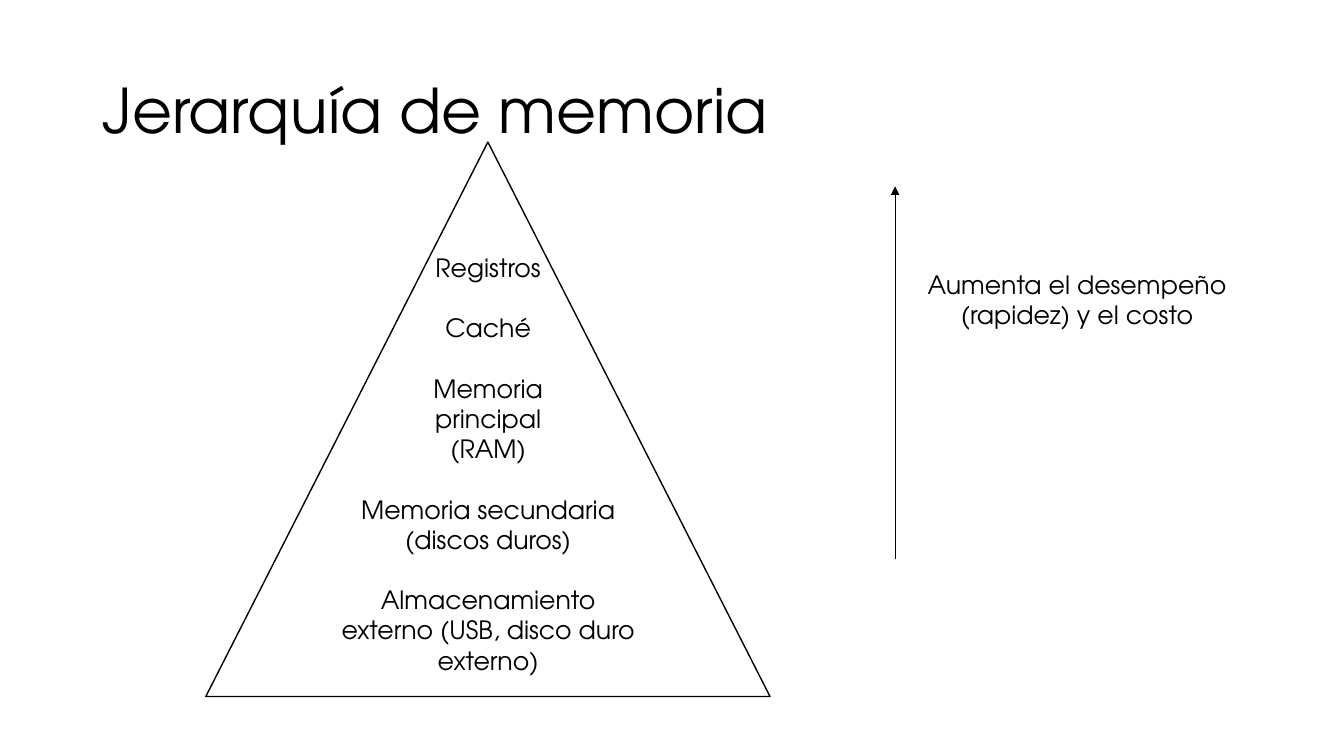
from pptx import Presentation
from pptx.dml.color import RGBColor
from pptx.enum.shapes import MSO_CONNECTOR, MSO_SHAPE
from pptx.enum.text import MSO_ANCHOR, MSO_AUTO_SIZE, PP_ALIGN
from pptx.oxml.ns import qn
from pptx.util import Pt
from lxml.etree import SubElement

TITLE = "Jerarquía de memoria"
NARROW, WIDE = 93.6, 235.4
# text, box width, number of lines
LEVELS = [
    ("Registros", NARROW, 1),
    ("Caché", NARROW, 1),
    ("Memoria principal (RAM)", NARROW, 3),
    ("Memoria secundaria (discos duros)", WIDE, 2),
    ("Almacenamiento externo (USB, disco duro externo)", WIDE, 3),
]
ARROW_LABEL = "Aumenta el desempeño (rapidez) y el costo"

FONT = "TeX Gyre Adventor"
COLORS = {"ink": "000000", "paper": "FFFFFF"}
LINE_HEIGHT, VERTICAL_INSETS = 21.6, 7.2
PYRAMID = (147, 101.5, 403, 396)
PYRAMID_CENTER = 348.7
FIRST_LEVEL_TOP = 176.4
ARROW_X, ARROW_BOTTOM, ARROW_TOP = 639.4, 399.6, 133.2


def color(name):
    return RGBColor.from_string(COLORS[name])


def format_text(frame, size, align):
    for para in frame.paragraphs:
        para.alignment = align
        for span in para.runs:
            span.font.size = Pt(size)
            span.font.name = FONT
            span.font.color.rgb = color("ink")


def add_label(shapes, text, left, top, width, lines):
    height = lines * LINE_HEIGHT + VERTICAL_INSETS
    box = shapes.add_textbox(Pt(left), Pt(top), Pt(width), Pt(height))
    frame = box.text_frame
    frame.word_wrap = True
    frame.auto_size = MSO_AUTO_SIZE.SHAPE_TO_FIT_TEXT
    frame.text = text
    format_text(frame, 18, PP_ALIGN.CENTER)


def add_title(slide):
    title = slide.shapes.title
    title.left, title.top, title.width, title.height = map(Pt, (66, 28.8, 828, 104.4))
    frame = title.text_frame
    frame.text = TITLE
    frame.word_wrap = True
    frame.auto_size = MSO_AUTO_SIZE.NONE
    frame.vertical_anchor = MSO_ANCHOR.MIDDLE
    frame.paragraphs[0].line_spacing = 0.9
    format_text(frame, 44, PP_ALIGN.LEFT)


def add_pyramid(shapes):
    pyramid = shapes.add_shape(MSO_SHAPE.ISOSCELES_TRIANGLE, *map(Pt, PYRAMID))
    pyramid.shadow.inherit = False
    pyramid.fill.solid()
    pyramid.fill.fore_color.rgb = color("paper")
    pyramid.line.color.rgb = color("ink")
    pyramid.line.width = Pt(1)
    top = FIRST_LEVEL_TOP
    for text, width, lines in LEVELS:
        add_label(shapes, text, PYRAMID_CENTER - width / 2, top, width, lines)
        top += (lines + 1) * LINE_HEIGHT


def add_arrow(shapes):
    arrow = shapes.add_connector(
        MSO_CONNECTOR.STRAIGHT, Pt(ARROW_X), Pt(ARROW_BOTTOM), Pt(ARROW_X), Pt(ARROW_TOP)
    )
    arrow.line.color.rgb = color("ink")
    arrow.line.width = Pt(0.5)
    properties = arrow.line._get_or_add_ln()
    SubElement(properties, qn("a:tailEnd"), type="triangle")
    SubElement(properties.getparent(), qn("a:effectLst"))


def main():
    deck = Presentation()
    deck.slide_width, deck.slide_height = Pt(960), Pt(540)
    slide = deck.slides.add_slide(deck.slide_layouts[5])
    add_title(slide)
    diagram = slide.shapes.add_group_shape()
    add_pyramid(diagram.shapes)
    add_arrow(diagram.shapes)
    add_label(slide.shapes, ARROW_LABEL, 645.1, 188.6, 248.4, 2)
    deck.save("out.pptx")


if __name__ == "__main__":
    main()
